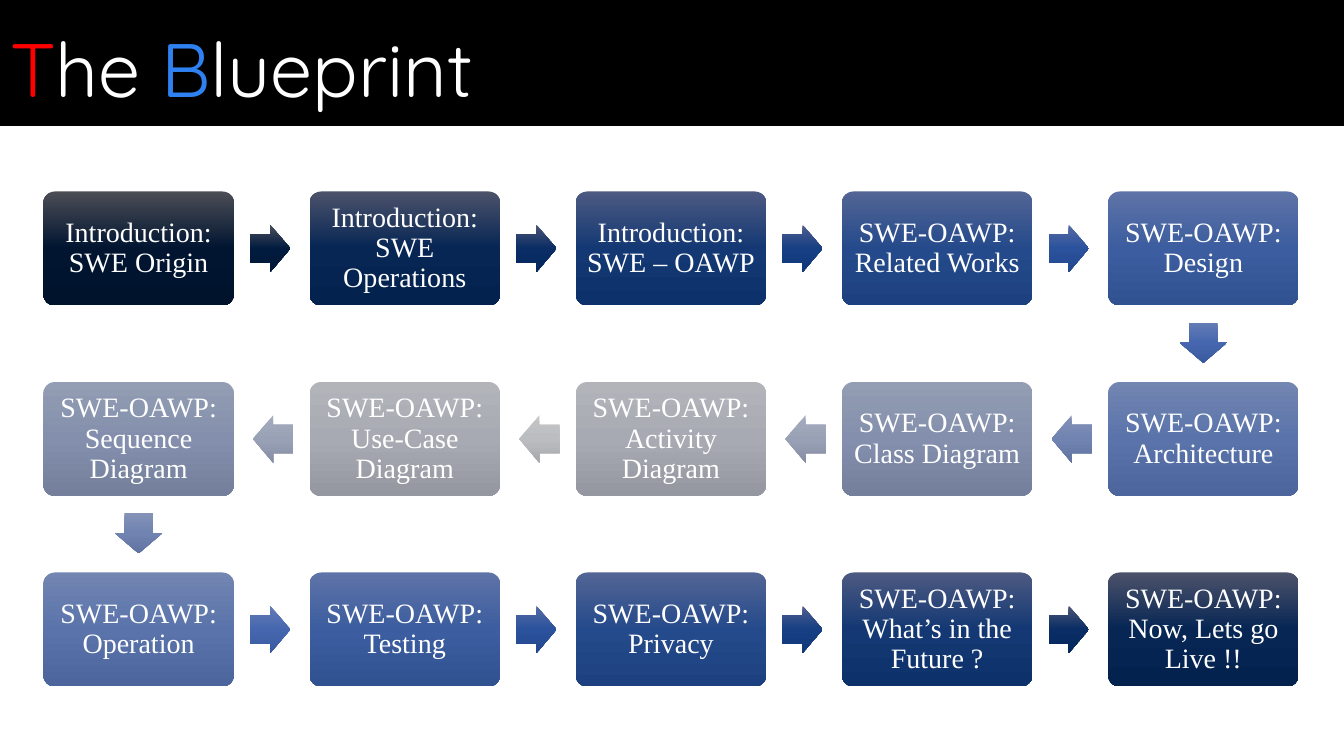
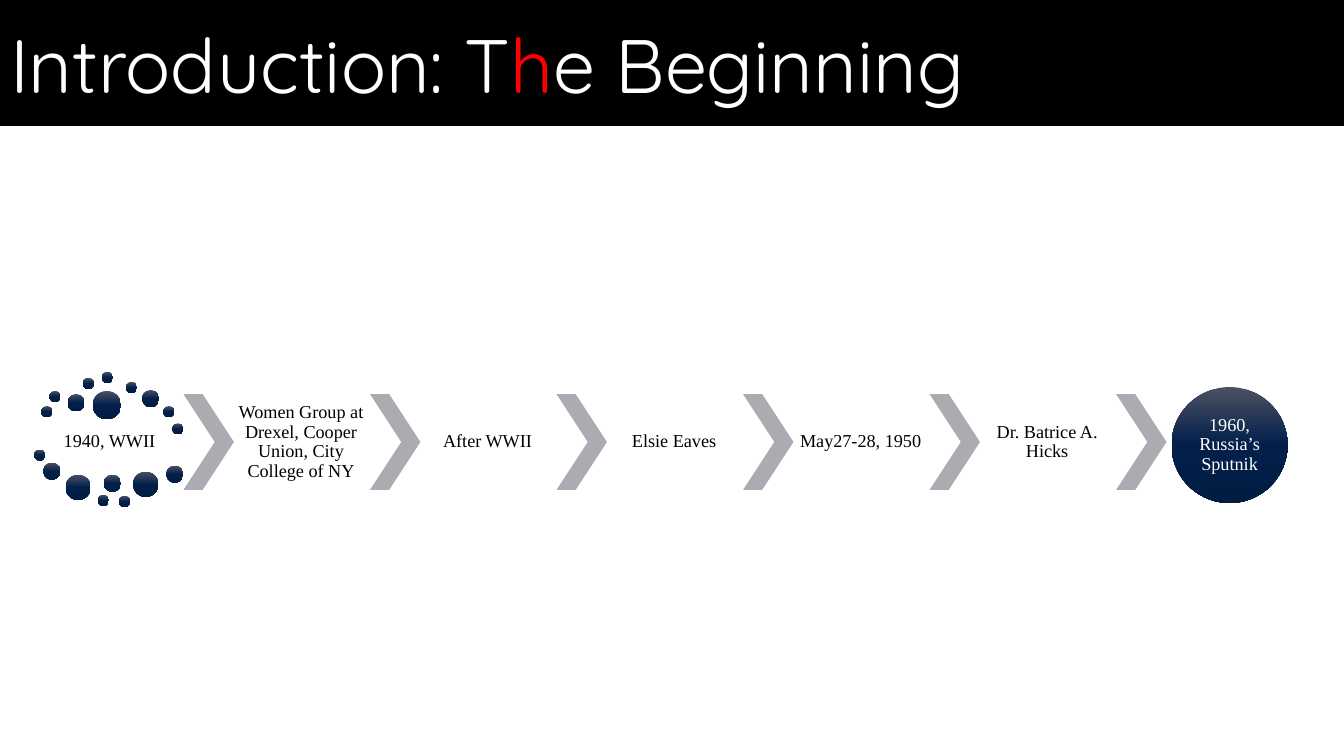
from copy import deepcopy

from pptx import Presentation
from pptx.dml.color import RGBColor
from pptx.enum.shapes import MSO_SHAPE as Shape
from pptx.enum.text import MSO_ANCHOR as Anchor, MSO_AUTO_SIZE as AutoSize, PP_ALIGN as Align
from pptx.oxml.ns import qn
from pptx.util import Inches, Pt

COLORS = {
    "black": "000000",
    "white": "FFFFFF",
    "red": "FF0000",
    "blue": "2F81F2",
    "chevron": "ABACB1",
}
NAVY = ("4B5063", "02204A", "001D44")
BOX_TONES = [
    ("4B4D55", "011531", "00132C"),
    ("4B526A", "072654", "03224E"),
    ("4D5A81", "133873", "0D316A"),
    ("526595", "254A8B", "1D4180"),
    ("5E73A7", "3C5D9F", "315291"),
    ("7385B1", "5A74AB", "4C659C"),
    ("939DB3", "838FAC", "737F9B"),
    ("B2B4BA", "A7AAB2", "94979F"),
]
ARROW_TONES = [
    ("4B4E5C", "011B3F", "001839"),
    ("4C5575", "092D64", "04275D"),
    ("4E5E8E", "173F83", "103779"),
    ("556BA4", "2B529C", "22478F"),
    ("647BB5", "4667AF", "3A5AA0"),
    ("8492B7", "7083B1", "6073A1"),
    ("A6ACBD", "99A1B6", "878EA3"),
    ("C5C5C8", "BCBDC0", "A7A8AB"),
]
TITLES = [
    (0.17, 7.97, [("T", "red"), ("he ", "white"), ("B", "blue"), ("lueprint", "white")]),
    (0.13, 11.09, [("Introduction: T", "white"), ("h", "red"), ("e Beginning", "white")]),
]
STEPS = [
    "Introduction: SWE Origin",
    "Introduction: SWE Operations",
    "Introduction: SWE – OAWP",
    "SWE-OAWP: Related Works",
    "SWE-OAWP: Design",
    "SWE-OAWP: Architecture",
    "SWE-OAWP: Class Diagram",
    "SWE-OAWP: Activity Diagram",
    "SWE-OAWP: Use-Case Diagram",
    "SWE-OAWP: Sequence Diagram",
    "SWE-OAWP: Operation",
    "SWE-OAWP: Testing",
    "SWE-OAWP: Privacy",
    "SWE-OAWP: What’s in the Future ?",
    "SWE-OAWP: Now, Lets go Live !!",
]
EVENTS = [
    "1940, WWII",
    "Women Group at Drexel, Cooper Union, City College of NY",
    "After WWII",
    "Elsie Eaves",
    "May27-28, 1950",
    "Dr. Batrice A. Hicks",
]
DOTS = {
    0.11: [(0.41, 4.03), (0.49, 3.88), (0.82, 3.75), (1.01, 3.69), (1.25, 3.79), (1.62, 4.03),
           (1.71, 4.2), (0.34, 4.46), (0.97, 4.91), (1.18, 4.92)],
    0.17: [(0.67, 3.91), (1.41, 3.87), (0.43, 4.59), (1.03, 4.71), (1.65, 4.62)],
    0.25: [(0.65, 4.71), (1.32, 4.68)],
    0.28: [(0.92, 3.88)],
}


def add_figure(slide, kind, box, tones, adjustments=()):
    shape = slide.shapes.add_shape(kind, *map(Inches, box))
    shape.shadow.inherit = False
    shape.line.fill.background()
    for index, value in enumerate(adjustments):
        shape.adjustments[index] = value
    if len(tones) == 1:
        shape.fill.solid()
        shape.fill.fore_color.rgb = RGBColor.from_string(tones[0])
        return shape
    shape.fill.gradient()
    shape.fill.gradient_angle = 270
    stop_list = shape.element.spPr.find(qn("a:gradFill")).find(qn("a:gsLst"))
    stop_list.append(deepcopy(stop_list[0]))
    for stop, tone, position in zip(shape.fill.gradient_stops, tones, (0, 0.5, 1)):
        stop.color.rgb = RGBColor.from_string(tone)
        stop.position = position
    return shape


def write_text(shape, text, size, color, inset):
    frame = shape.text_frame
    layout = {"word_wrap": True, "vertical_anchor": Anchor.MIDDLE}
    for side in ("left", "right", "top", "bottom"):
        layout[f"margin_{side}"] = Inches(inset)
    for name, value in layout.items():
        setattr(frame, name, value)
    paragraph = frame.paragraphs[0]
    paragraph.alignment = Align.CENTER
    paragraph.line_spacing = 0.9
    run = paragraph.add_run()
    run.text = text
    for name, value in {"name": "Times New Roman", "size": Pt(size)}.items():
        setattr(run.font, name, value)
    run.font.color.rgb = RGBColor.from_string(COLORS[color])


presentation = Presentation()
presentation.slide_width = Inches(13.33)
presentation.slide_height = Inches(7.5)
title_layout = presentation.slide_layouts[5]

slides = []
for top, width, parts in TITLES:
    slide = presentation.slides.add_slide(title_layout)
    slides.append(slide)
    title = slide.shapes.title
    place = {"left": 0, "top": Inches(top), "width": Inches(width), "height": Inches(1.01)}
    for name, value in place.items():
        setattr(title, name, value)
    frame = title.text_frame
    style = {"word_wrap": True, "vertical_anchor": Anchor.TOP, "auto_size": AutoSize.SHAPE_TO_FIT_TEXT}
    for name, value in style.items():
        setattr(frame, name, value)
    paragraph = frame.paragraphs[0]
    paragraph.alignment = Align.LEFT
    for text, color in parts:
        run = paragraph.add_run()
        run.text = text
        for name, value in {"name": "Quicksand", "size": Pt(54)}.items():
            setattr(run.font, name, value)
        run.font.color.rgb = RGBColor.from_string(COLORS[color])
blueprint, beginning = slides

band = add_figure(blueprint, Shape.RECTANGLE, (0, 0, 13.33, 1.25), [COLORS["black"]])
title_layout.shapes.element.insert(2, band.element)

columns = 5
last = len(STEPS) - 1
for index, step in enumerate(STEPS):
    row, column = divmod(index, columns)
    forward = row % 2 == 0
    left = 0.43 + 2.64 * (column if forward else columns - 1 - column)
    top = 1.9 + 1.89 * row
    tones = BOX_TONES[min(index, last + 1 - index)]
    box = add_figure(blueprint, Shape.ROUNDED_RECTANGLE, (left, top, 1.89, 1.13), tones, [0.1])
    write_text(box, step, 20, "white", 0.08)
    if index == last:
        continue
    if column == columns - 1:
        kind, place = Shape.DOWN_ARROW, (left + 0.71, top + 1.3, 0.47, 0.4)
    elif forward:
        kind, place = Shape.RIGHT_ARROW, (left + 2.05, top + 0.33, 0.4, 0.47)
    else:
        kind, place = Shape.LEFT_ARROW, (left - 0.56, top + 0.33, 0.4, 0.47)
    add_figure(blueprint, kind, place, ARROW_TONES[min(index, last - index)], [0.6, 0.5])

for size, corners in DOTS.items():
    for left, top in corners:
        add_figure(beginning, Shape.OVAL, (left, top, size, size), NAVY)

for index, event in enumerate(EVENTS):
    left = 0.46 + 1.85 * index if index else 0.41
    label = beginning.shapes.add_textbox(*map(Inches, (left, 3.91, 1.35, 0.95)))
    write_text(label, event, 13, "black", 0.02)
    place = (1.82 + 1.85 * index, 3.91, 0.5, 0.95)
    add_figure(beginning, Shape.CHEVRON, place, [COLORS["chevron"]], [0.62])

sputnik = add_figure(beginning, Shape.OVAL, (11.62, 3.84, 1.15, 1.15), NAVY)
write_text(sputnik, "1960, Russia’s Sputnik", 13, "white", 0)

presentation.save("out.pptx")
